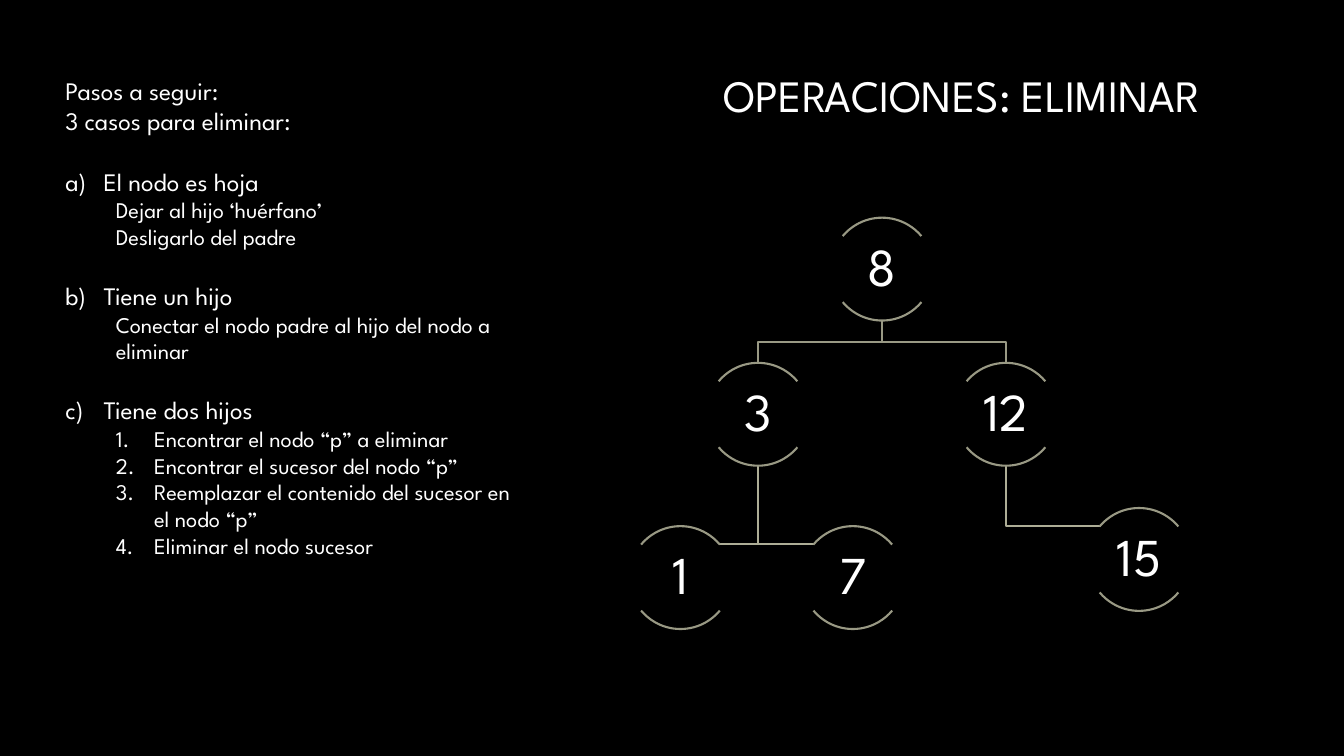
"""Builds a slide on deleting a node from a binary search tree."""
from lxml.etree import SubElement
from pptx import Presentation
from pptx.dml.color import RGBColor
from pptx.enum.shapes import MSO_SHAPE
from pptx.enum.text import MSO_ANCHOR, PP_ALIGN
from pptx.oxml.ns import qn
from pptx.util import Inches, Pt

THEME = {
    "font": "League Spartan", "back": "000000", "text": "FFFFFF", "fade": "A6A6A6",
    "arc": "999984", "branch": "ADAD96", "line": 1.5,
    "title": 32, "node": 38, "step": 18, "detail": 16,
}

prs = Presentation()
prs.slide_width, prs.slide_height = Inches(13.33), Inches(7.5)
COL, ROW = prs.slide_width / 100, prs.slide_height / 100
s = prs.slides.add_slide(prs.slide_layouts[6])
s.background.fill.solid()
s.background.fill.fore_color.rgb = RGBColor.from_string(THEME["back"])


def outline(sp, color):
    """Leave only a plain outline on a shape."""
    sp.shadow.inherit = False
    sp.fill.background()
    sp.line.color.rgb = RGBColor.from_string(THEME[color])
    sp.line.width = Pt(THEME["line"])


def text_box(col, row, cols, rows, lines, **frame):
    """Add a text box from (text, size, paragraph format) lines."""
    sp = s.shapes.add_textbox(*map(round, (col * COL, row * ROW, cols * COL, rows * ROW)))
    tf = sp.text_frame
    for name, value in {"word_wrap": True, **frame}.items():
        setattr(tf, name, value)
    for i, (text, size, fmt) in enumerate(lines):
        p = tf.add_paragraph() if i else tf.paragraphs[0]
        for name, value in fmt.items():
            setattr(p, name, value)
        r = p.add_run()
        r.text = text
        r.font.name, r.font.size = THEME["font"], Pt(THEME[size])
        r.font.color.rgb = RGBColor.from_string(THEME["text"])
    return tf


RX, RY = 3.82, 6.8
STUB_X, STUB_Y = 2.87, 4.4
LABEL_W, LABEL_H = 15.23, 8.67
NODES = {
    "8": (65.63, 35.6), "3": (56.4, 54.8), "12": (74.85, 54.8),
    "1": (50.63, 76.4), "7": (63.45, 76.4), "15": (84.75, 74),
}
BRANCHES = [("12", "15"), ("8", "12"), ("3", "7"), ("3", "1"), ("8", "3")]

for parent, child in BRANCHES:
    (px, py), (cx, cy) = NODES[parent], NODES[child]
    start, color = (px, py + RY), "branch"
    if parent == "8":
        middle, color = (py + cy) / 2, "arc"
        points = [(px, middle), (cx, middle), (cx, cy - RY)]
    else:
        side = STUB_X if cx < px else -STUB_X
        points = [(px, cy - STUB_Y), (cx + side, cy - STUB_Y)]
    path = s.shapes.build_freeform(round(start[0] * COL), round(start[1] * ROW))
    path.add_line_segments([(round(x * COL), round(y * ROW)) for x, y in points], close=False)
    outline(path.convert_to_shape(), color)

NODE_FRAME = {"vertical_anchor": MSO_ANCHOR.MIDDLE}
NODE_FRAME.update({f"margin_{side}": Inches(0.03) for side in ("left", "top", "right", "bottom")})
for value, (x, y) in NODES.items():
    for angles in ((132, 192), (24, 84)):
        box = ((x - RX) * COL, (y - RY) * ROW, 2 * RX * COL, 2 * RY * ROW)
        sp = s.shapes.add_shape(MSO_SHAPE.ARC, *map(round, box))
        sp.adjustments[0], sp.adjustments[1] = angles
        outline(sp, "arc")
    text_box(x - LABEL_W / 2, y - LABEL_H / 2, LABEL_W, LABEL_H,
             [(value, "node", {"alignment": PP_ALIGN.CENTER, "line_spacing": 0.9})], **NODE_FRAME)

tf = text_box(53.11, -1.33, 81.25, 27.73, [("OPERACIONES: ELIMINAR", "title", {})],
              vertical_anchor=MSO_ANCHOR.MIDDLE)
fill = tf.paragraphs[0].runs[0].font.fill
fill.gradient()
fill.gradient_angle = 267
for stop, color in zip(fill.gradient_stops, ("text", "fade")):
    stop.color.rgb = RGBColor.from_string(THEME[color])

KINDS = {
    "lead": ("step", {"line_spacing": 2.0}, 0, 0, None),
    "plain": ("step", {}, 0, 0, None),
    "case": ("step", {"line_spacing": 2.0}, 0.38, -0.38, "alphaLcParenR"),
    "note": ("detail", {"level": 1}, 0.5, 0, None),
    "item": ("detail", {"level": 1}, 0.88, -0.38, "arabicPeriod"),
}
STEPS = [
    ("lead", "Pasos a seguir:"),
    ("plain", "3 casos para eliminar:"),
    ("case", "El nodo es hoja"),
    ("note", "Dejar al hijo ‘huérfano’"),
    ("note", "Desligarlo del padre"),
    ("case", "Tiene un hijo"),
    ("note", "Conectar el nodo padre al hijo del nodo a eliminar"),
    ("case", "Tiene dos hijos"),
    ("item", "Encontrar el nodo “p” a eliminar"),
    ("item", "Encontrar el sucesor del nodo “p”"),
    ("item", "Reemplazar el contenido del sucesor en el nodo “p”"),
    ("item", "Eliminar el nodo sucesor"),
]
tf = text_box(4.13, 5.33, 36.08, 70, [(text, *KINDS[kind][:2]) for kind, text in STEPS])
for p, (kind, text) in zip(tf.paragraphs, STEPS):
    left, hang, numbering = KINDS[kind][2:]
    pPr = p._p.get_or_add_pPr()
    pPr.set("marL", str(Inches(left)))
    pPr.set("indent", str(Inches(hang)))
    if numbering:
        SubElement(pPr, qn("a:buFont"), typeface="+mj-lt")
        SubElement(pPr, qn("a:buAutoNum"), type=numbering)

prs.save("out.pptx")
